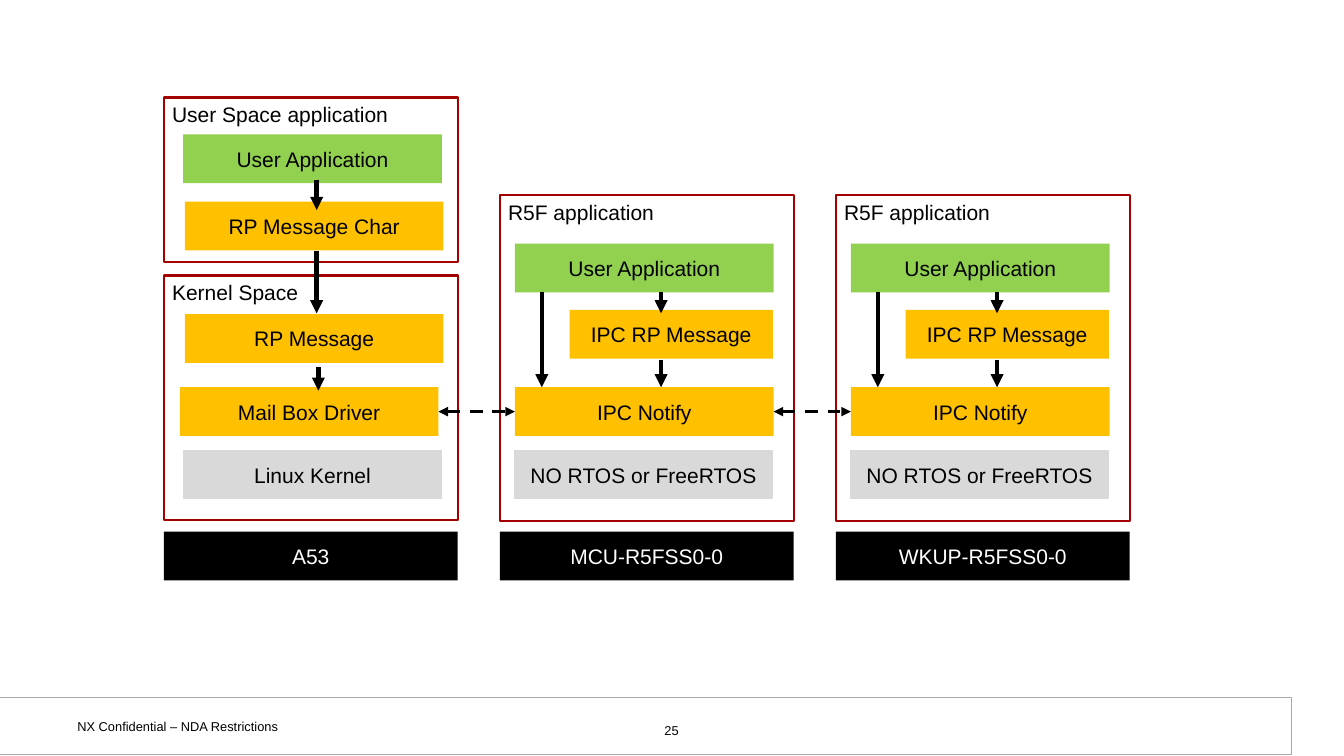
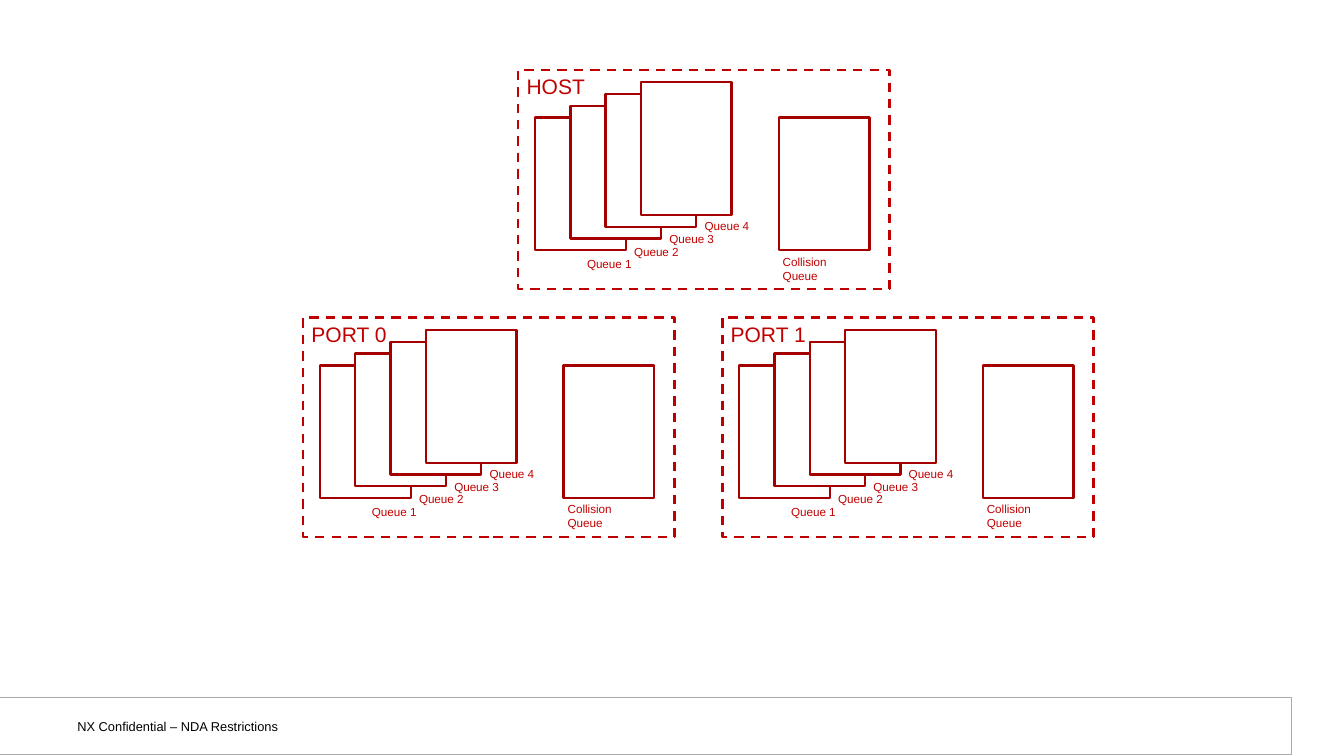
from lxml import etree
from pptx import Presentation
from pptx.dml.color import RGBColor
from pptx.enum.dml import MSO_LINE
from pptx.enum.shapes import MSO_CONNECTOR, MSO_SHAPE
from pptx.enum.text import MSO_ANCHOR, PP_ALIGN
from pptx.oxml.ns import qn
from pptx.util import Inches, Pt

RECT = MSO_SHAPE.RECTANGLE
LINE = MSO_CONNECTOR.STRAIGHT
DASH = MSO_LINE.DASH
LEFT, MID = PP_ALIGN.LEFT, PP_ALIGN.CENTER
TOP, CORE = MSO_ANCHOR.TOP, MSO_ANCHOR.MIDDLE
HUE = {"white": "FFFFFF", "black": "000000", "gray": "D9D9D9", "rule": "AAAAAA",
       "gold": "FFC000", "green": "92D050", "wine": "A40000", "red": "C00000"}

prs = Presentation()
prs.slide_width, prs.slide_height = Inches(16), Inches(9)
UNIT = prs.slide_width / 16


def box(page, x, y, w, h, text="", fill=None, line=None, width=2, dash=None,
        ink="black", size=18, align=LEFT, anchor=TOP, wrap=True, pad=(0.1, 0.05)):
    spot = [round(n * UNIT) for n in (x, y, w, h)]
    if fill:
        shape = page.shapes.add_shape(RECT, *spot)
        shape.shadow.inherit = False
        shape.fill.solid()
        shape.fill.fore_color.rgb = RGBColor.from_string(HUE[fill])
        if line:
            shape.line.color.rgb = RGBColor.from_string(HUE[line])
            shape.line.width = Pt(width)
            if dash:
                shape.line.dash_style = dash
        else:
            shape.line.fill.background()
    else:
        shape = page.shapes.add_textbox(*spot)
    if text:
        frame = shape.text_frame
        frame.word_wrap = wrap
        frame.vertical_anchor = anchor
        frame.margin_left = frame.margin_right = round(pad[0] * UNIT)
        frame.margin_top = frame.margin_bottom = round(pad[1] * UNIT)
        frame.text = text
        para = frame.paragraphs[0]
        para.alignment = align
        font = para.runs[0].font
        font.name, font.size = "Arial", Pt(size)
        font.color.rgb = RGBColor.from_string(HUE[ink])
    return shape


def wire(page, x1, y1, x2, y2, width=3.75, ends=("tailEnd",), dash=None):
    link = page.shapes.add_connector(LINE, *[round(n * UNIT) for n in (x1, y1, x2, y2)])
    link.line.color.rgb = RGBColor.from_string(HUE["black"])
    link.line.width = Pt(width)
    if dash:
        link.line.dash_style = dash
    props = link.element.spPr
    for end in ends:
        etree.SubElement(props.find(qn("a:ln")), qn("a:" + end), type="triangle")
    etree.SubElement(props, qn("a:effectLst"))
    return link


stack, queues = [prs.slides.add_slide(prs.slide_layouts[6]) for _ in range(2)]
for page in (stack, queues):
    box(page, -0.03, 8.3, 15.4, 0.68, fill="white", line="rule", width=0.75)
    box(page, 0.79, 8.48, 3.69, 0.32, "NX Confidential – NDA Restrictions",
        size=11, pad=(0.13, 0.07))
box(stack, 6.13, 8.53, 3.73, 0.27, "25", size=11, align=MID, pad=(0.13, 0.07))

COL, STEP, WIDE, TALL = 1.95, 4, 3.5, 0.58
FULL = 3.08
HOST_CPU = {
    "name": "A53",
    "frames": [("User Space application", 1.16, 1.96), ("Kernel Space", 3.28, 2.91)],
    "blocks": [("User Application", 0.23, 1.6, FULL, "green"),
               ("RP Message Char", 0.25, 2.4, FULL, "gold"),
               ("RP Message", 0.25, 3.74, FULL, "gold"),
               ("Linux Kernel", 0.23, 5.36, FULL, "gray"),
               ("Mail Box Driver", 0.19, 4.61, FULL, "gold")],
    "wires": [(1.82, 2.14, 2.5), (1.82, 2.99, 3.73), (1.84, 4.37, 4.65)]}
R5F = {
    "frames": [("R5F application", 2.32, 3.88)],
    "blocks": [("User Application", 0.18, 2.9, FULL, "green"),
               ("IPC RP Message", 0.83, 3.69, 2.42, "gold"),
               ("NO RTOS or FreeRTOS", 0.17, 5.36, FULL, "gray"),
               ("IPC Notify", 0.18, 4.61, FULL, "gold")],
    "wires": [(0.5, 3.48, 4.61), (1.92, 3.48, 3.73), (1.92, 4.28, 4.61)]}
CPUS = [HOST_CPU, {**R5F, "name": "MCU-R5FSS0-0"}, {**R5F, "name": "WKUP-R5FSS0-0"}]

gates = []
for i, cpu in enumerate(CPUS):
    x = COL + i * STEP
    for text, y, h in cpu["frames"]:
        box(stack, x, y, WIDE, h, text, "white", "wine")
    for text, dx, y, w, fill in cpu["blocks"]:
        gate = box(stack, x + dx, y, w, TALL, text, fill, align=MID, anchor=CORE)
    gates.append(gate)
    box(stack, x, 6.33, WIDE, TALL, cpu["name"], "black", ink="white",
        align=MID, anchor=CORE)
    for dx, y1, y2 in cpu["wires"]:
        wire(stack, x + dx, y1, x + dx, y2)

for near, far in zip(gates, gates[1:]):
    link = wire(stack, 0, 0, 1, 0, 2.75, ("headEnd", "tailEnd"), DASH)
    link.begin_connect(near, 3)
    link.end_connect(far, 1)

CARDS = [(f"Queue {i + 1}", 0.2 + 0.42 * i, 0.57 - 0.14 * i,
          0.86 + 0.42 * i if i else 0.72, 2.18 - 0.15 * i, 0.73) for i in range(4)]
CARDS.append(("Collision Queue", 3.1, 0.57, 3.05, 2.15, 1.17))
for name, x, y in [("HOST", 6.17, 0.83), ("PORT 0", 3.61, 3.78), ("PORT 1", 8.6, 3.78)]:
    box(queues, x, y, 4.42, 2.61, name, "white", "red", dash=DASH, ink="red")
    for text, dx, dy, tx, ty, w in CARDS:
        box(queues, x + dx, y + dy, 1.08, 1.58, fill="white", line="wine")
        box(queues, x + tx, y + ty, w, 0.26, text, ink="red", size=10, wrap=False)

prs.save("out.pptx")
